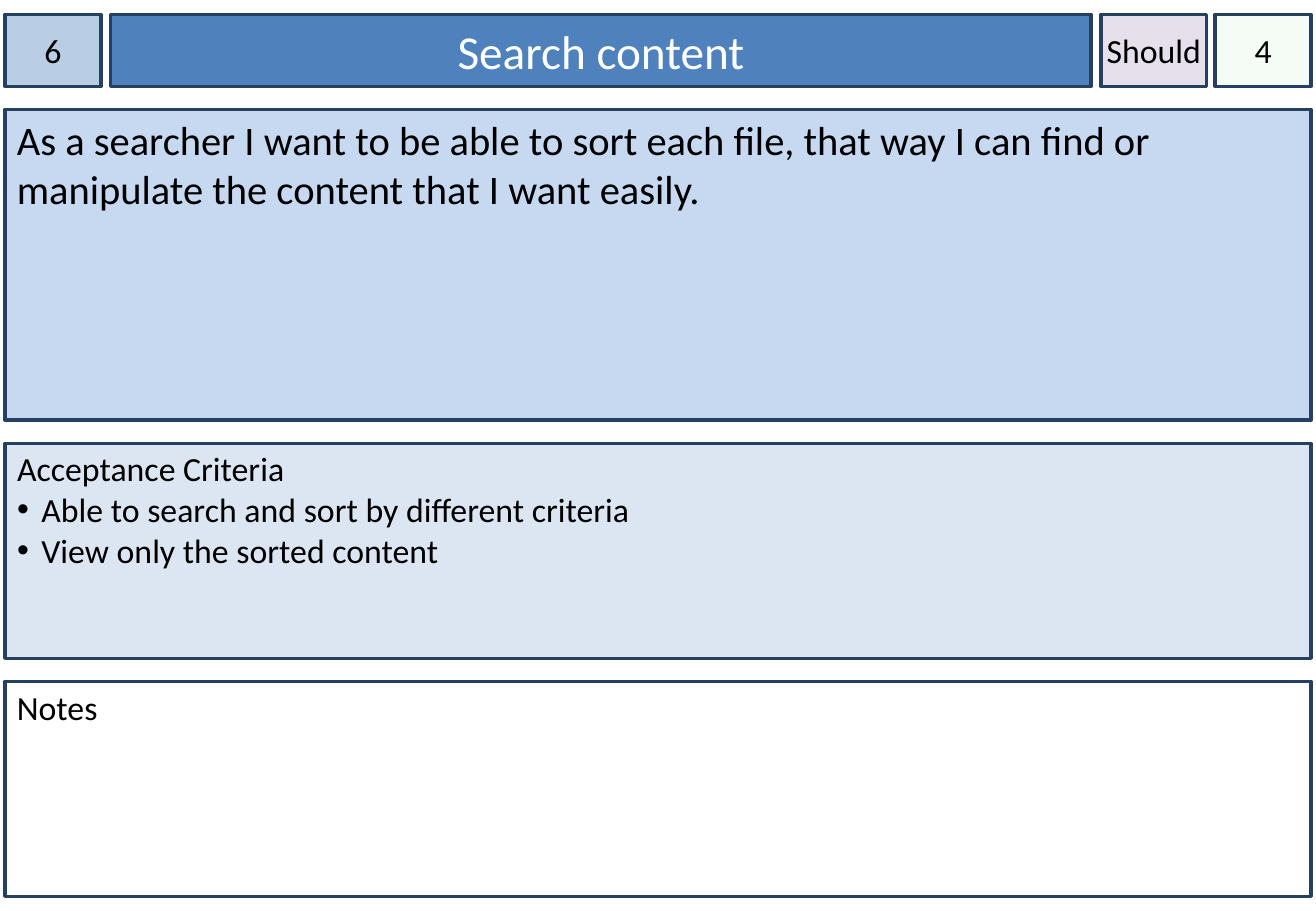
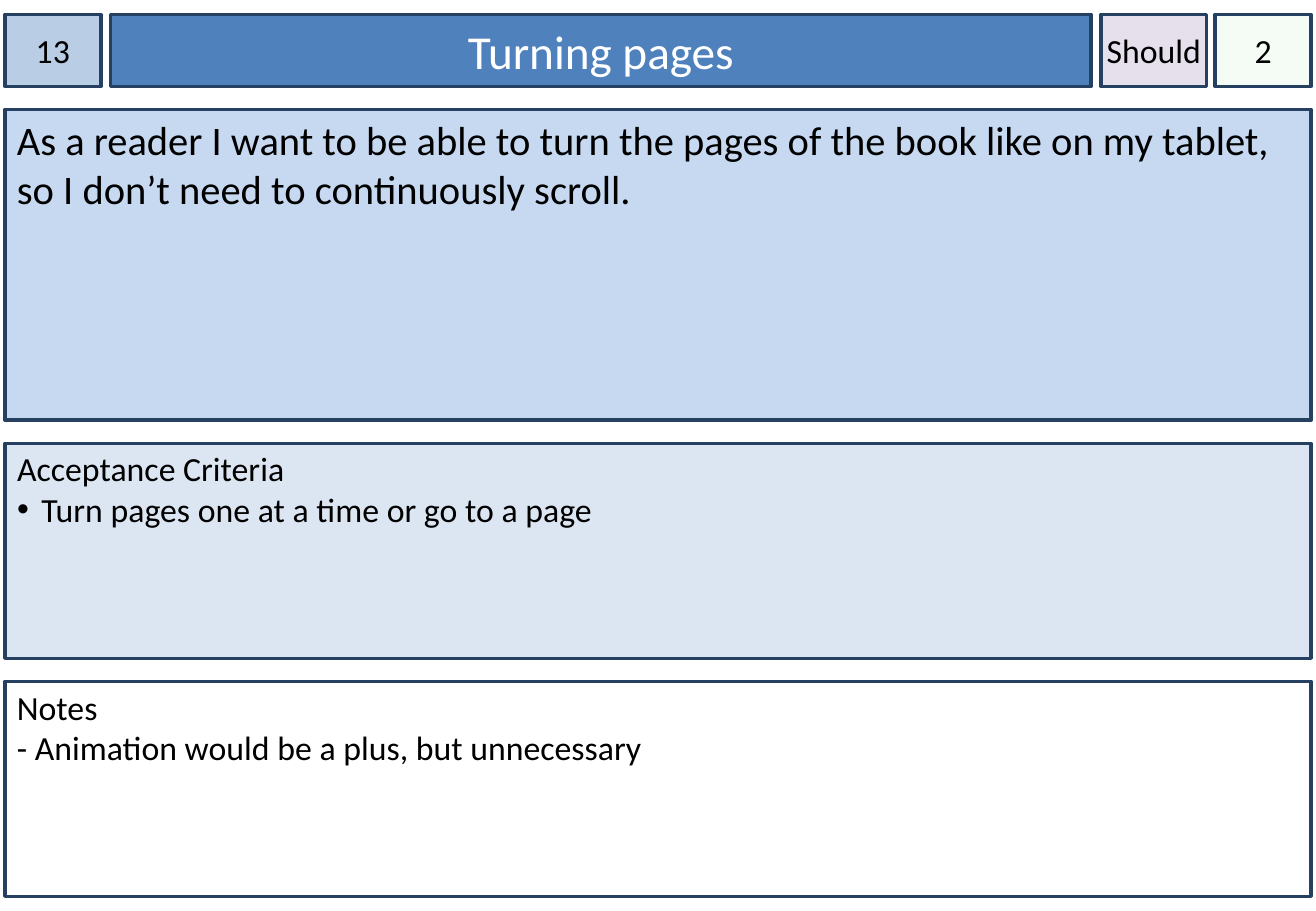
from dataclasses import dataclass
from typing import Optional

from lxml.etree import SubElement
from pptx import Presentation
from pptx.dml.color import RGBColor
from pptx.enum.shapes import MSO_SHAPE
from pptx.enum.text import MSO_ANCHOR, MSO_AUTO_SIZE, PP_ALIGN
from pptx.oxml.ns import qn
from pptx.shapes.autoshape import Shape
from pptx.slide import Slide
from pptx.util import Emu, Pt

EMU_PER_PX = 9144  # 100 px to the inch
FONT = "Calibri"
BULLET = "•"
BULLET_INDENT = 20
COLORS = {
    "border": "254061",
    "text": "000000",
    "title_text": "FFFFFF",
    "number": "B9CDE5",
    "title": "4F81BD",
    "priority": "E6E0EC",
    "estimate": "CCF0CD",
    "story": "C6D9F1",
    "criteria": "DCE6F2",
    "notes": "FFFFFF",
}

MARGIN = 4
CARD_WIDTH = 1075
HEADER_TOP, HEADER_HEIGHT = 12, 59
PANEL_GAP = 19
STORY_TOP, STORY_HEIGHT = HEADER_TOP + HEADER_HEIGHT + PANEL_GAP, 256
CRITERIA_TOP, DETAIL_HEIGHT = STORY_TOP + STORY_HEIGHT + PANEL_GAP, 177
NOTES_TOP = CRITERIA_TOP + DETAIL_HEIGHT + PANEL_GAP

HEADER_INSETS = (0, 5, 0, 5)
PANEL_INSETS = (10, 5, 10, 5)
DETAIL_INSETS = (10, 4, 10, 5)


@dataclass(frozen=True)
class Box:
    """A bordered box of the card; its name is also its fill colour key."""
    name: str
    left: int
    top: int
    width: int
    height: int
    insets: tuple[int, int, int, int]
    size: int = 20
    centred: bool = False
    wrap: bool = True
    text_color: str = "text"
    opacity: int = 100
    placeholder: Optional[int] = None


def header_box(name: str, left: int, width: int, insets=HEADER_INSETS, **options) -> Box:
    return Box(name, left, HEADER_TOP, width, HEADER_HEIGHT, insets, centred=True, **options)


def panel(name: str, top: int, height: int, insets=DETAIL_INSETS, **options) -> Box:
    return Box(name, MARGIN, top, CARD_WIDTH, height, insets, **options)


BOXES = [
    header_box("number", MARGIN, 79),
    header_box("title", 91, 807, PANEL_INSETS, size=28, text_color="title_text", placeholder=0),
    panel("story", STORY_TOP, STORY_HEIGHT, PANEL_INSETS, size=24),
    panel("criteria", CRITERIA_TOP, DETAIL_HEIGHT, placeholder=1),
    header_box("estimate", 1000, 79, opacity=20),
    header_box("priority", 906, 87, wrap=False),
    panel("notes", NOTES_TOP, DETAIL_HEIGHT),
]


@dataclass(frozen=True)
class StoryCard:
    number: int
    title: str
    story: str
    criteria: list[str]
    priority: str
    estimate: int
    notes: tuple[str, ...] = ()

    def lines(self, name: str) -> list[str]:
        """Return the paragraphs of one box, with the heading it may have."""
        if name == "criteria":
            return ["Acceptance Criteria", *self.criteria]
        if name == "notes":
            return ["Notes", *self.notes]
        return [str(getattr(self, name))]


CARDS = [
    StoryCard(
        6, "Search content",
        "As a searcher I want to be able to sort each file, that way I can find or "
        "manipulate the content that I want easily.",
        ["Able to search and sort by different criteria", "View only the sorted content"],
        "Should", 4,
    ),
    StoryCard(
        13, "Turning pages",
        "As a reader I want to be able to turn the pages of the book like on my tablet, "
        "so I don’t need to continuously scroll.",
        ["Turn pages one at a time or go to a page"],
        "Should", 2,
        ("- Animation would be a plus, but unnecessary",),
    ),
]


def px(length: int) -> Emu:
    return Emu(length * EMU_PER_PX)


def color(name: str) -> RGBColor:
    return RGBColor.from_string(COLORS[name])


def style_box(shape: Shape, box: Box) -> None:
    shape.shadow.inherit = False
    shape.fill.solid()
    shape.fill.fore_color.rgb = color(box.name)
    if box.opacity < 100:
        fill_color = shape.fill._xPr.find(f"{qn('a:solidFill')}/{qn('a:srgbClr')}")
        SubElement(fill_color, qn("a:alpha"), val=str(box.opacity * 1000))
    shape.line.color.rgb = color("border")
    shape.line.width = Pt(2)


def set_bullet(paragraph, bulleted: bool) -> None:
    properties = paragraph._p.get_or_add_pPr()
    indent = px(BULLET_INDENT) if bulleted else 0
    properties.set("marL", str(int(indent)))
    properties.set("indent", str(-int(indent)))
    if bulleted:
        SubElement(properties, qn("a:buFont"), typeface="Arial")
        SubElement(properties, qn("a:buChar"), char=BULLET)
    else:
        SubElement(properties, qn("a:buNone"))


def write_text(shape: Shape, box: Box, lines: list[str]) -> None:
    frame = shape.text_frame
    frame.auto_size = MSO_AUTO_SIZE.NONE
    frame.word_wrap = box.wrap
    frame.vertical_anchor = MSO_ANCHOR.MIDDLE if box.centred else MSO_ANCHOR.TOP
    frame.margin_left, frame.margin_top, frame.margin_right, frame.margin_bottom = map(px, box.insets)
    frame.text = "\n".join(lines)
    for index, paragraph in enumerate(frame.paragraphs):
        set_bullet(paragraph, box.name == "criteria" and index > 0)
        paragraph.alignment = PP_ALIGN.CENTER if box.centred else PP_ALIGN.LEFT
        paragraph.space_before = Pt(0)
        paragraph.font.name = FONT
        paragraph.font.size = Pt(box.size)
        paragraph.font.color.rgb = color(box.text_color)


def draw_box(slide: Slide, box: Box, lines: list[str]) -> None:
    place = [px(length) for length in (box.left, box.top, box.width, box.height)]
    if box.placeholder is None:
        shape = slide.shapes.add_shape(MSO_SHAPE.RECTANGLE, *place)
    else:
        shape = slide.placeholders[box.placeholder]
        shape.left, shape.top, shape.width, shape.height = place
    style_box(shape, box)
    write_text(shape, box, lines)


def main() -> None:
    presentation = Presentation()
    presentation.slide_width, presentation.slide_height = px(1083), px(750)
    title_and_content = presentation.slide_layouts[1]
    for card in CARDS:
        slide = presentation.slides.add_slide(title_and_content)
        for box in BOXES:
            draw_box(slide, box, card.lines(box.name))
    presentation.save("out.pptx")


if __name__ == "__main__":
    main()
